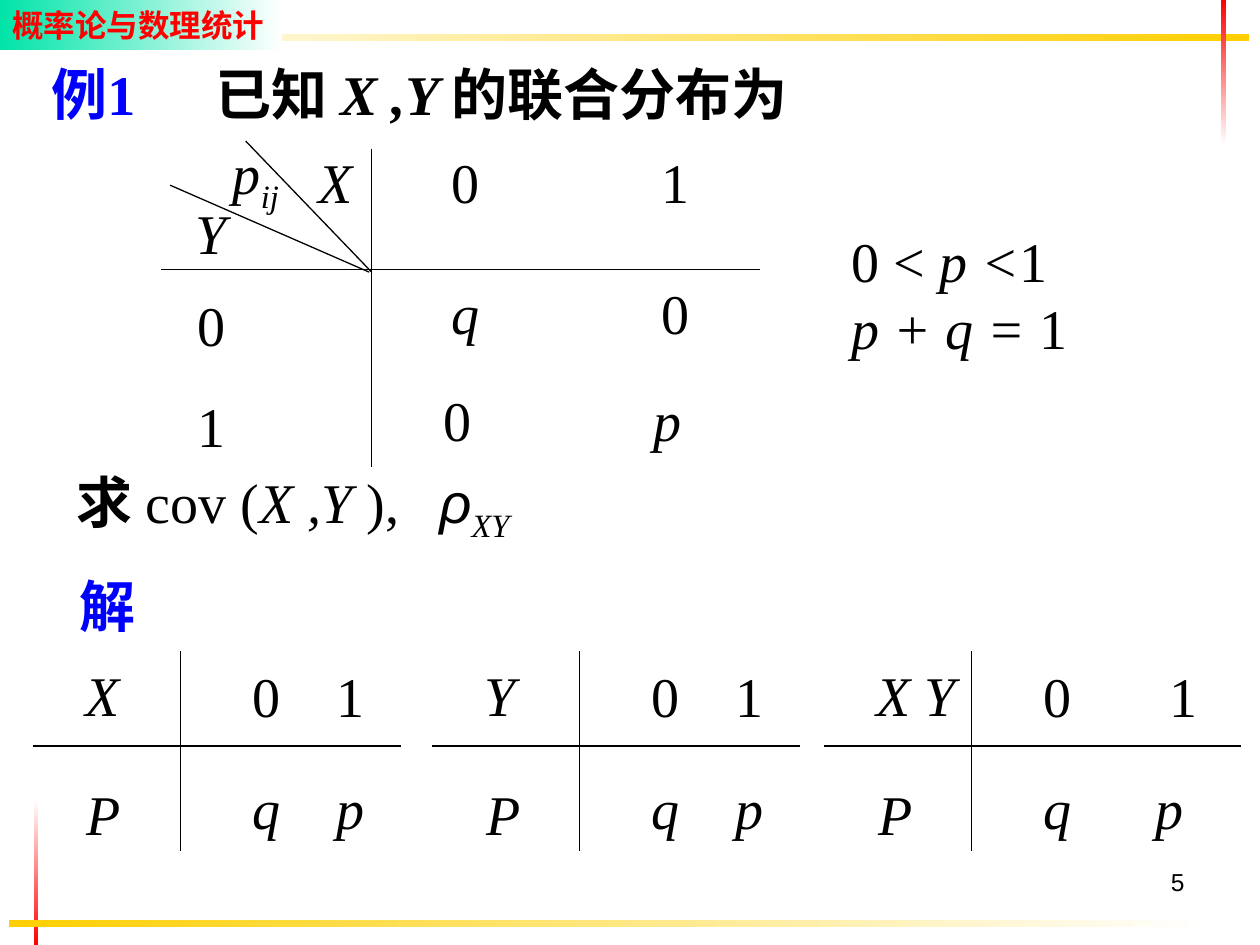
from dataclasses import dataclass
from typing import NamedTuple

from lxml import etree
from pptx import Presentation
from pptx.dml.color import RGBColor
from pptx.enum import shapes, text
from pptx.oxml.ns import qn
from pptx.util import Inches, Pt


@dataclass(frozen=True)
class Theme:
    black: str = "000000"
    white: str = "FFFFFF"
    red: str = "FF0000"
    blue: str = "0000FF"
    gold: str = "FFCF01"
    mint: str = "00E4A8"
    math: str = "Times New Roman"
    chinese: str = "Noto Sans CJK SC"
    sans: str = "Arial"
    banner: str = "Karla"
    body_size: float = 32
    banner_size: float = 18
    number_size: float = 14
    line_width: float = 0.75


THEME = Theme()


class Box(NamedTuple):
    left: float
    top: float
    width: float
    height: float


class Run(NamedTuple):
    """A stretch of text and what sets it apart from its paragraph."""
    text: str
    italic: bool = False
    bold: bool | None = None
    font: str | None = None
    color: str | None = None
    subscript: bool = False


class Band(NamedTuple):
    box: Box
    start: str
    end: str
    vertical: bool = False


class Marginal(NamedTuple):
    """A two-value distribution; gaps run from the first value to the second."""
    name: str
    left: float
    width: float
    value_gap: float
    chance_gap: float


BANDS = [
    Band(Box(0.27, 6.35, 0.03, 1.15), THEME.white, THEME.red, True),
    Band(Box(0.07, 7.3, 9.51, 0.06), THEME.gold, THEME.white),
    Band(Box(0.4, 0.27, 9.51, 0.06), THEME.white, THEME.gold),
    Band(Box(9.69, 0, 0.04, 1.15), THEME.red, THEME.white, True),
]
MARGINALS = [
    Marginal("X", 0.26, 2.92, 0.67, 0.67),
    Marginal("Y", 3.43, 2.92, 0.67, 0.67),
    Marginal("X Y", 6.54, 3.31, 1.0, 0.89),
]
JOINT_GAP = 1.67
JOINT_LINES = [
    (1.28, 2.14, 6.03, 2.14),
    (2.95, 1.18, 2.95, 3.71),
    (1.95, 1.12, 2.95, 2.16),
    (1.35, 1.47, 2.93, 2.16),
]


def rgb(color: str) -> RGBColor:
    return RGBColor.from_string(color)


def add_band(slide, band: Band):
    bar = slide.shapes.add_shape(shapes.MSO_SHAPE.RECTANGLE, *map(Inches, band.box))
    bar.shadow.inherit = False
    bar.line.fill.background()
    bar.fill.gradient()
    bar.fill.gradient_angle = 270 if band.vertical else 0
    for stop, color in zip(bar.fill.gradient_stops, (band.start, band.end)):
        stop.color.rgb = rgb(color)
    return bar


def add_line(slide, x1: float, y1: float, x2: float, y2: float) -> None:
    rule = slide.shapes.add_connector(
        shapes.MSO_CONNECTOR.STRAIGHT, *map(Inches, (x1, y1, x2, y2)))
    rule.line.color.rgb = rgb(THEME.black)
    rule.line.width = Pt(THEME.line_width)
    etree.SubElement(rule._element.spPr, qn("a:effectLst"))


def fill_paragraph(paragraph, runs: list[Run], size: float = THEME.body_size,
                   font: str = THEME.math, color: str = THEME.black,
                   bold: bool = False, tab: float | None = None) -> None:
    if tab is not None:
        stops = etree.SubElement(paragraph._p.get_or_add_pPr(), qn("a:tabLst"))
        etree.SubElement(stops, qn("a:tab"), pos=str(Inches(tab)), algn="l")
    paragraph.font.size = Pt(size)
    paragraph.font.name = font
    paragraph.font.bold = bold
    paragraph.font.color.rgb = rgb(color)
    for part in runs:
        run = paragraph.add_run()
        run.text = part.text
        if part.italic:
            run.font.italic = True
        if part.bold is not None:
            run.font.bold = part.bold
        if part.font:
            run.font.name = part.font
        if part.color:
            run.font.color.rgb = rgb(part.color)
        if part.subscript:
            run.font._element.set("baseline", "-25000")


def add_text(slide, box: Box, *lines: list[Run], **style):
    frame = slide.shapes.add_textbox(*map(Inches, box)).text_frame
    frame.word_wrap = True
    for index, runs in enumerate(lines):
        paragraph = frame.add_paragraph() if index else frame.paragraphs[0]
        fill_paragraph(paragraph, runs, **style)
    return frame


def add_pair(slide, left: float, top: float, gap: float, first: Run, second: Run) -> None:
    """Two values on one row, the second set at a tab stop."""
    frame = add_text(slide, Box(left, top, gap + 0.64, 0.64),
                     [first, second._replace(text="\t" + second.text)], tab=gap)
    frame.margin_left = Inches(0.32)
    frame.margin_right = 0


def add_marginal(slide, table: Marginal) -> None:
    left, divider = table.left, table.left + 1.17
    add_line(slide, divider, 5.17, divider, 6.75)
    add_line(slide, left, 5.92, left + table.width, 5.92)
    add_text(slide, Box(left + 0.32, 5.19, 1.05, 0.64), [Run(table.name, True)])
    add_text(slide, Box(left + 0.33, 6.14, 0.58, 0.64), [Run("P", True)])
    add_pair(slide, left + 1.42, 5.2, table.value_gap, Run("0"), Run("1"))
    add_pair(slide, left + 1.42, 6.09, table.chance_gap, Run("q", True), Run("p", True))


def add_joint_table(slide) -> None:
    for ends in JOINT_LINES:
        add_line(slide, *ends)
    add_text(slide, Box(2.43, 1.12, 0.47, 0.64), [Run("X", True)])
    add_text(slide, Box(1.45, 1.53, 0.45, 0.64), [Run("Y", True)])
    add_text(slide, Box(1.75, 1.05, 0.77, 0.71),
             [Run("p", True), Run("ij", True, subscript=True)])
    y_values = add_text(slide, Box(1.47, 2.26, 0.42, 1.44), [Run("0")], [Run("1")])
    y_values.paragraphs[1].line_spacing = 1.5
    add_pair(slide, 3.26, 1.12, JOINT_GAP, Run("0"), Run("1"))
    add_pair(slide, 3.26, 2.16, JOINT_GAP, Run("q", True), Run("0"))
    add_pair(slide, 3.2, 3.01, JOINT_GAP, Run("0"), Run("p", True))


def main() -> None:
    deck = Presentation()
    deck.slide_width, deck.slide_height = Inches(10), Inches(7.5)
    slide = deck.slides.add_slide(deck.slide_layouts[6])

    for band in BANDS:
        add_band(slide, band)
    course = add_band(slide, Band(Box(0, 0, 2.24, 0.4), THEME.mint, THEME.white)).text_frame
    course.word_wrap = False
    course.vertical_anchor = text.MSO_ANCHOR.MIDDLE
    course.paragraphs[0].alignment = text.PP_ALIGN.LEFT
    fill_paragraph(course.paragraphs[0], [Run("概率论与数理统计")], size=THEME.banner_size,
                   font=THEME.banner, color=THEME.red, bold=True)

    number = add_text(slide, Box(7.17, 6.83, 2.33, 0.52), [Run("5")],
                      size=THEME.number_size, font=THEME.sans)
    number.paragraphs[0].alignment = text.PP_ALIGN.RIGHT

    add_text(slide, Box(0.31, 0.42, 6.6, 0.64),
             [Run("例", font=THEME.chinese, color=THEME.blue), Run("1", color=THEME.blue),
              Run("\t已知 "), Run("X ,Y ", True), Run("的联合分布为")],
             bold=True, tab=1.3)
    add_joint_table(slide)
    add_text(slide, Box(6.66, 1.75, 1.91, 1.17),
             [Run("0 < "), Run("p <", True), Run("1")],
             [Run("p + q =", True), Run(" 1")])
    add_text(slide, Box(0.51, 3.66, 5.5, 0.71),
             [Run("求 ", bold=True), Run("cov ("), Run("X ,Y ", True), Run("),\t"),
              Run("ρ", True, font=THEME.sans), Run("XY", True, subscript=True)],
             tab=2.88)
    add_text(slide, Box(0.53, 4.49, 0.64, 0.64), [Run("解")], color=THEME.blue, bold=True)
    for table in MARGINALS:
        add_marginal(slide, table)

    deck.save("out.pptx")


if __name__ == "__main__":
    main()
